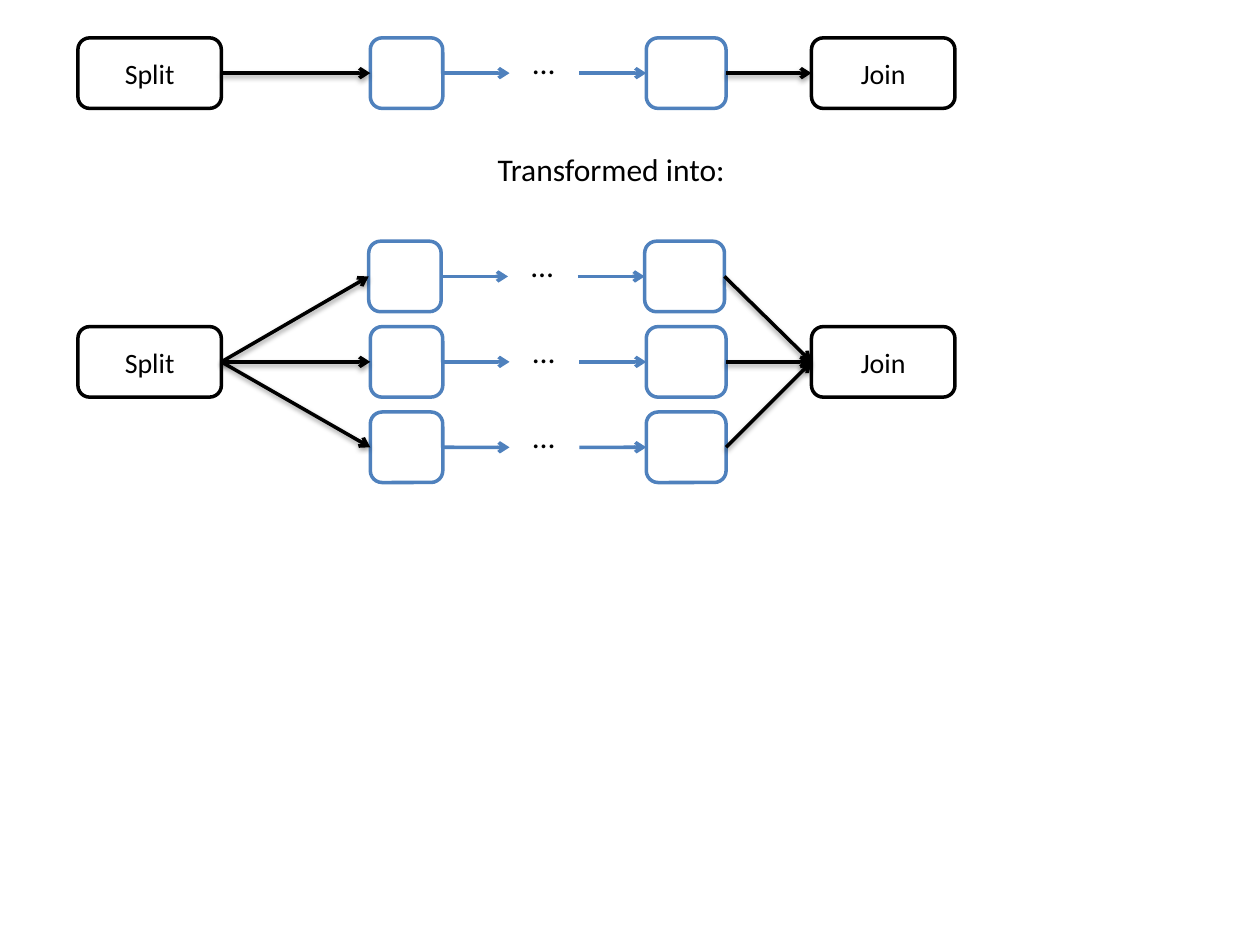
from dataclasses import dataclass

from lxml import etree
from pptx import Presentation
from pptx.dml.color import RGBColor
from pptx.enum.shapes import MSO_CONNECTOR, MSO_SHAPE
from pptx.enum.text import MSO_ANCHOR, MSO_AUTO_SIZE, PP_ALIGN
from pptx.oxml.ns import qn
from pptx.util import Pt

ROUNDED = MSO_SHAPE.ROUNDED_RECTANGLE
STRAIGHT = MSO_CONNECTOR.STRAIGHT
MIDDLE, TOP = MSO_ANCHOR.MIDDLE, MSO_ANCHOR.TOP
CENTER, LEFT = PP_ALIGN.CENTER, PP_ALIGN.LEFT
LEFT_SITE, RIGHT_SITE = 1, 3


@dataclass(frozen=True)
class Theme:
    font: str = "Calibri"
    black: RGBColor = RGBColor(0x00, 0x00, 0x00)
    blue: RGBColor = RGBColor(0x4F, 0x81, 0xBD)
    white: RGBColor = RGBColor(0xFF, 0xFF, 0xFF)
    box_size: int = 16
    label_size: int = 18
    line_width: int = 2


THEME = Theme()

# Content: each flow has a centre line and branches as (y offset, x offset)
CAPTION = "Transformed into:"
START, END, GAP = "Split", "Join", "\u2026"
BRANCH_PITCH = 48.8
FLOWS = [
    (41.8, [(0, 0)]),
    (206.8, [(-BRANCH_PITCH, -0.9), (0, 0), (BRANCH_PITCH, 0)]),
]

# Horizontal layout: (left, width)
SPLIT, JOIN = (44.5, 82), (463.7, 82)
FIRST, LAST = (211.6, 41.4), (369.3, 45.6)
DOTS = (297.4, 27.4)
BOX_HEIGHT, LABEL_HEIGHT = 40.3, 29
ARROW_LENGTH = 38.2

deck = Presentation()
deck.slide_width, deck.slide_height = Pt(720), Pt(540)
page = deck.slides.add_slide(deck.slide_layouts[6])


def write(shape, text, size, align, anchor):
    frame = shape.text_frame
    frame.text = text
    frame.vertical_anchor = anchor
    para = frame.paragraphs[0]
    para.alignment = align
    font = para.runs[0].font
    font.name, font.size = THEME.font, Pt(size)
    font.color.rgb = THEME.black


def add_box(span, middle, color, text="", shift=0):
    left, width = span
    box = page.shapes.add_shape(ROUNDED, Pt(left + shift), Pt(middle - BOX_HEIGHT / 2),
                                Pt(width), Pt(BOX_HEIGHT))
    box.shadow.inherit = False
    box.fill.solid()
    box.fill.fore_color.rgb = THEME.white
    box.line.color.rgb = color
    box.line.width = Pt(THEME.line_width)
    if text:
        write(box, text, THEME.box_size, CENTER, MIDDLE)
    return box


def add_label(text, left, top, width, filled=False):
    label = page.shapes.add_textbox(Pt(left), Pt(top), Pt(width), Pt(LABEL_HEIGHT))
    if filled:
        label.fill.solid()
        label.fill.fore_color.rgb = THEME.white
    write(label, text, THEME.label_size, LEFT, TOP)
    label.text_frame.word_wrap = False
    label.text_frame.auto_size = MSO_AUTO_SIZE.SHAPE_TO_FIT_TEXT


def add_arrow(start_x, start_y, end_x, end_y, color, source=None, target=None, shadow=False):
    arrow = page.shapes.add_connector(STRAIGHT, Pt(start_x), Pt(start_y), Pt(end_x), Pt(end_y))
    if source is not None:
        arrow.begin_connect(source, RIGHT_SITE)
    if target is not None:
        arrow.end_connect(target, LEFT_SITE)
    arrow.line.color.rgb = color
    arrow.line.width = Pt(THEME.line_width)
    # Arrowhead and shadow
    etree.SubElement(arrow.line._get_or_add_ln(), qn("a:tailEnd"), type="arrow")
    effects = etree.SubElement(arrow._element.spPr, qn("a:effectLst"))
    if shadow:
        outer = etree.SubElement(effects, qn("a:outerShdw"), blurRad=str(Pt(3.1)),
                                 dist=str(Pt(1.6)), dir="5400000", rotWithShape="0")
        tint = etree.SubElement(outer, qn("a:srgbClr"), val=str(THEME.black))
        etree.SubElement(tint, qn("a:alpha"), val="38000")


def add_branch(split, join, center, offset, shift):
    middle = center + offset
    first = add_box(FIRST, middle, THEME.blue, shift=shift)
    last = add_box(LAST, middle, THEME.blue, shift=shift)
    first_left, last_left = FIRST[0] + shift, LAST[0] + shift
    first_right, last_right = first_left + FIRST[1], last_left + LAST[1]

    # Blue arrows around the dots
    add_arrow(first_right, middle, first_right + ARROW_LENGTH, middle, THEME.blue, source=first)
    add_arrow(last_left - ARROW_LENGTH, middle, last_left, middle, THEME.blue, target=last)
    add_label(GAP, DOTS[0] + shift, middle - 20.8, DOTS[1], filled=True)

    # Black arrows to and from the branch
    add_arrow(sum(SPLIT), center, first_left, middle, THEME.black, split, first, True)
    add_arrow(last_right, middle, JOIN[0], center, THEME.black, last, join, True)


for center, branches in FLOWS:
    split = add_box(SPLIT, center, THEME.black, START)
    join = add_box(JOIN, center, THEME.black, END)
    for offset, shift in branches:
        add_branch(split, join, center, offset, shift)

add_label(CAPTION, 277.2, 82.4, 148)

deck.save("out.pptx")
